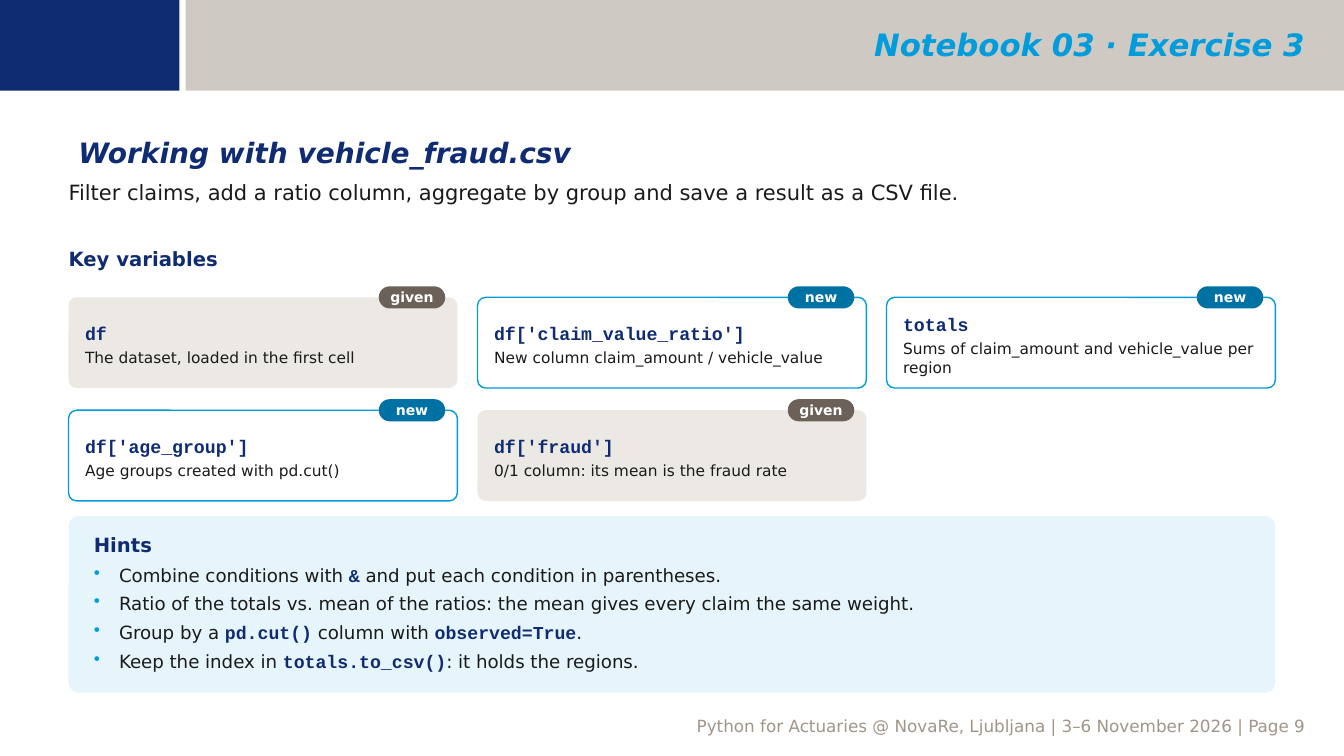
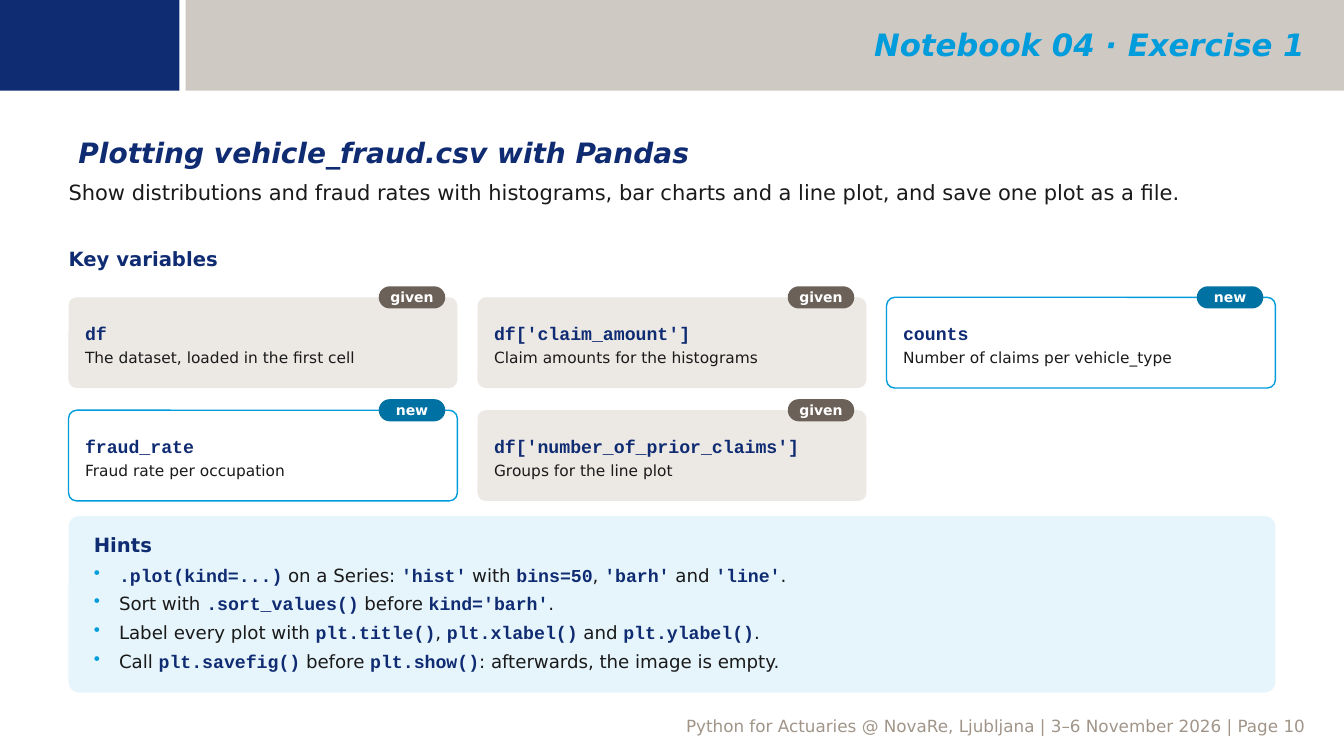
from lxml.etree import SubElement
from pptx import Presentation
from pptx.dml.color import RGBColor
from pptx.enum.shapes import MSO_SHAPE
from pptx.enum.text import MSO_ANCHOR, MSO_AUTO_SIZE, PP_ALIGN
from pptx.oxml.ns import qn
from pptx.util import Inches, Pt

NAVY = RGBColor(0x0F, 0x2B, 0x72)
BLOCK = RGBColor(0x0F, 0x2C, 0x73)
SKY = RGBColor(0x00, 0x9C, 0xDB)
TEAL = RGBColor(0x00, 0x71, 0xA3)
PALE = RGBColor(0xE6, 0xF5, 0xFB)
TAUPE = RGBColor(0xA1, 0x95, 0x89)
BROWN = RGBColor(0x6B, 0x61, 0x58)
SAND = RGBColor(0xEC, 0xE9, 0xE5)
INK = RGBColor(0x1A, 0x1A, 0x1A)
WHITE = RGBColor(0xFF, 0xFF, 0xFF)
SANS = "DejaVu Sans"
MONO = "Courier New"
LEFT, WIDE = 0.68, 11.97
COLS, GAP = 3, 0.2
CARD = (WIDE - (COLS - 1) * GAP) / COLS
FOOT = "Python for Actuaries @ NovaRe, Ljubljana | 3–6 November 2026 | Page {}"

PAGES = [
    {
        "page": 9,
        "title": "Notebook 03 · Exercise 3",
        "topic": "Working with vehicle_fraud.csv",
        "task": "Filter claims, add a ratio column, aggregate by group and save a result as a CSV file.",
        "cards": [
            ("df", "The dataset, loaded in the first cell", "given"),
            ("df['claim_value_ratio']", "New column claim_amount / vehicle_value", "new"),
            ("totals", "Sums of claim_amount and vehicle_value per region", "new"),
            ("df['age_group']", "Age groups created with pd.cut()", "new"),
            ("df['fraud']", "0/1 column: its mean is the fraud rate", "given"),
        ],
        "hints": [
            "Combine conditions with `&` and put each condition in parentheses.",
            "Ratio of the totals vs. mean of the ratios: the mean gives every claim the same weight.",
            "Group by a `pd.cut()` column with `observed=True`.",
            "Keep the index in `totals.to_csv()`: it holds the regions.",
        ],
    },
    {
        "page": 10,
        "title": "Notebook 04 · Exercise 1",
        "topic": "Plotting vehicle_fraud.csv with Pandas",
        "task": "Show distributions and fraud rates with histograms, bar charts and a line plot, "
                "and save one plot as a file.",
        "cards": [
            ("df", "The dataset, loaded in the first cell", "given"),
            ("df['claim_amount']", "Claim amounts for the histograms", "given"),
            ("counts", "Number of claims per vehicle_type", "new"),
            ("fraud_rate", "Fraud rate per occupation", "new"),
            ("df['number_of_prior_claims']", "Groups for the line plot", "given"),
        ],
        "hints": [
            "`.plot(kind=...)` on a Series: `'hist'` with `bins=50`, `'barh'` and `'line'`.",
            "Sort with `.sort_values()` before `kind='barh'`.",
            "Label every plot with `plt.title()`, `plt.xlabel()` and `plt.ylabel()`.",
            "Call `plt.savefig()` before `plt.show()`: afterwards, the image is empty.",
        ],
    },
]


class Deck:
    """Holds the shared style and the current slide."""

    def __init__(self):
        self.show = Presentation()
        self.show.slide_width = Inches(13.33)
        self.show.slide_height = Inches(7.5)
        self.slide = None

    def style(self, font, size, color, bold=False, slant=False, face=SANS):
        font.name, font.size = face, Pt(size)
        font.bold, font.italic = bold, slant
        font.color.rgb = color

    def inset(self, frame, left=0, top=0, right=0, low=0):
        frame.word_wrap = True
        frame.margin_left, frame.margin_top = Inches(left), Inches(top)
        frame.margin_right, frame.margin_bottom = Inches(right), Inches(low)

    def box(self, x, y, w, h, fill, line=None, round=None):
        kind = MSO_SHAPE.RECTANGLE if round is None else MSO_SHAPE.ROUNDED_RECTANGLE
        shape = self.slide.shapes.add_shape(kind, Inches(x), Inches(y), Inches(w), Inches(h))
        shape.shadow.inherit = False
        if round is not None:
            shape.adjustments[0] = round
        shape.fill.solid()
        shape.fill.fore_color.rgb = fill
        if line is None:
            shape.line.fill.background()
        else:
            shape.line.color.rgb = line
            shape.line.width = Pt(1)
        return shape

    def label(self, x, y, w, h, text, size, color, pad=(0, 0, 0, 0), align=PP_ALIGN.LEFT, **look):
        area = self.slide.shapes.add_textbox(Inches(x), Inches(y), Inches(w), Inches(h))
        self.inset(area.text_frame, *pad)
        para = area.text_frame.paragraphs[0]
        para.text, para.alignment = text, align
        self.style(para.font, size, color, **look)

    def start(self, title, page):
        self.slide = self.show.slides.add_slide(self.show.slide_layouts[5])
        band = self.box(1.84, 0, 11.49, 0.9, TAUPE)
        tint = next(band.element.spPr.iter(qn("a:srgbClr")))
        SubElement(tint, qn("a:alpha"), val="50000")
        self.box(0, 0, 1.78, 0.9, BLOCK)
        pad = (0.1, 0.05, 0.1, 0.05)
        self.label(0.76, 7.05, 12.29, 0.3, FOOT.format(page), 12, TAUPE, pad, PP_ALIGN.RIGHT)
        head = self.slide.shapes.title
        self.slide.shapes.element.append(head.element)
        head.left, head.top = Inches(2.02), Inches(0.02)
        head.width, head.height = Inches(11.02), Inches(0.84)
        frame = head.text_frame
        frame.auto_size = MSO_AUTO_SIZE.NONE
        frame.vertical_anchor = MSO_ANCHOR.MIDDLE
        self.inset(frame, *pad)
        para = frame.paragraphs[0]
        para.text, para.alignment = title, PP_ALIGN.RIGHT
        self.style(para.font, 22, SKY, bold=True, slant=True)

    def card(self, x, y, name, note, state):
        fresh = state == "new"
        shape = self.box(x, y, CARD, 0.9, WHITE if fresh else SAND, SKY if fresh else None, 0.09)
        frame = shape.text_frame
        self.inset(frame, 0.14, 0.1, 0.14, 0.06)
        frame.vertical_anchor = MSO_ANCHOR.MIDDLE
        top, low = frame.paragraphs[0], frame.add_paragraph()
        top.text, low.text = name, note
        top.alignment = low.alignment = PP_ALIGN.LEFT
        low.space_before = Pt(3)
        self.style(top.font, 13, NAVY, bold=True, face=MONO)
        self.style(low.font, 11, INK)
        self.badge(x + CARD - 0.78, y - 0.11, state, TEAL if fresh else BROWN)

    def badge(self, x, y, text, fill):
        frame = self.box(x, y, 0.66, 0.22, fill, round=0.5).text_frame
        self.inset(frame)
        frame.vertical_anchor = MSO_ANCHOR.MIDDLE
        para = frame.paragraphs[0]
        para.text, para.alignment = text, PP_ALIGN.CENTER
        self.style(para.font, 10, WHITE, bold=True)

    def hints(self, items):
        frame = self.box(LEFT, 5.12, WIDE, 1.75, PALE, round=0.06).text_frame
        self.inset(frame, 0.22, 0.14, 0.22, 0.1)
        frame.vertical_anchor = MSO_ANCHOR.TOP
        head = frame.paragraphs[0]
        head.text, head.alignment = "Hints", PP_ALIGN.LEFT
        self.style(head.font, 14, NAVY, bold=True)
        for item in items:
            self.bullet(frame.add_paragraph(), item)

    def bullet(self, para, text):
        para.alignment, para.space_before = PP_ALIGN.LEFT, Pt(5)
        props = para._p.get_or_add_pPr()
        props.set("marL", str(Inches(0.25)))
        props.set("indent", str(Inches(-0.25)))
        SubElement(SubElement(props, qn("a:buClr")), qn("a:srgbClr"), val=str(SKY))
        SubElement(props, qn("a:buChar"), char="•")
        self.style(para.font, 13, INK)
        for i, part in enumerate(text.split("`")):
            if part:
                run = para.add_run()
                run.text = part
                if i % 2:
                    self.style(run.font, 13, NAVY, bold=True, face=MONO)

    def sheet(self, page, title, topic, task, cards, hints):
        self.start(title, page)
        self.label(LEFT, 1.3, WIDE, 0.4, topic, 20, NAVY, (0.1, 0.05, 0.1, 0.05), bold=True, slant=True)
        self.label(LEFT, 1.78, WIDE, 0.62, task, 15, INK)
        self.label(LEFT, 2.45, 6, 0.32, "Key variables", 14, NAVY, bold=True)
        for i, card in enumerate(cards):
            row, col = divmod(i, COLS)
            self.card(LEFT + col * (CARD + GAP), 2.95 + row * 1.12, *card)
        self.hints(hints)


def main():
    deck = Deck()
    for page in PAGES:
        deck.sheet(**page)
    deck.show.save("out.pptx")


if __name__ == "__main__":
    main()
